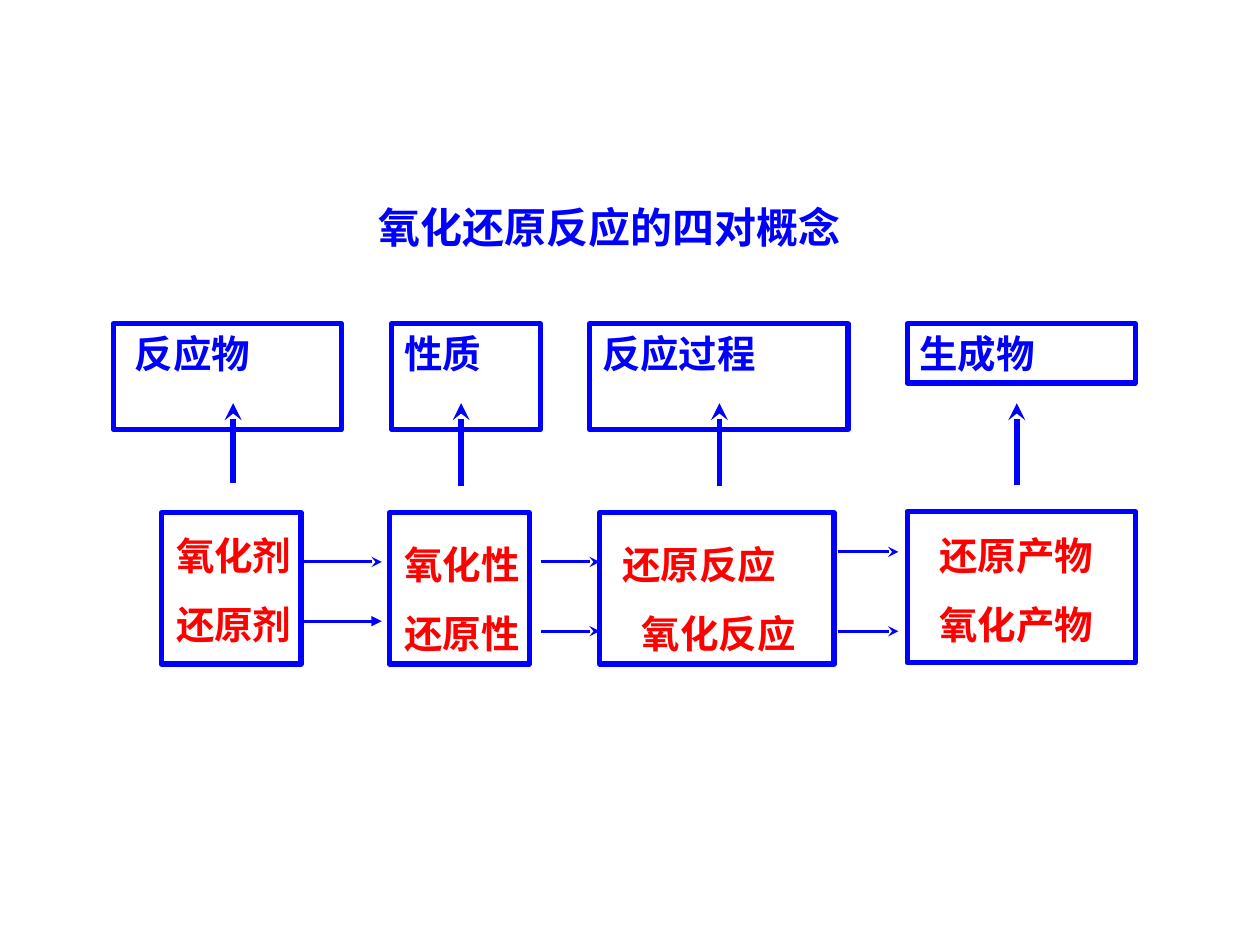
"""Build a slide that links the four concept pairs of redox reactions."""
from dataclasses import dataclass

from lxml import etree
from pptx import Presentation
from pptx import util as u
from pptx.dml.color import RGBColor
from pptx.enum import shapes, text
from pptx.oxml.ns import qn

LEFT, CENTER = text.PP_ALIGN.LEFT, text.PP_ALIGN.CENTER


@dataclass(frozen=True)
class Theme:
    font: str = "Times New Roman"
    blue: RGBColor = RGBColor(0, 0, 255)
    red: RGBColor = RGBColor(255, 0, 0)
    title_size: int = 24
    body_size: int = 22
    border: float = 3
    up_arrow: float = 3.25
    side_arrow: float = 1.75


class SlideBuilder:
    def __init__(self, slide, theme):
        self.slide = slide
        self.theme = theme

    def fill_text(self, shape, lines, size, color, spacing=None, inset=0.1):
        frame = shape.text_frame
        frame.word_wrap = True
        frame.auto_size = text.MSO_AUTO_SIZE.NONE
        frame.vertical_anchor = text.MSO_ANCHOR.TOP
        frame.margin_left = u.Inches(inset)
        for index, (words, alignment) in enumerate(lines):
            paragraph = frame.add_paragraph() if index else frame.paragraphs[0]
            paragraph.text = words
            paragraph.alignment = alignment
            if spacing:
                paragraph.line_spacing = spacing
            font = paragraph.font
            font.name, font.size, font.bold = self.theme.font, u.Pt(size), True
            font.color.rgb = color

    def title(self, words, *bounds):
        shape = self.slide.shapes.add_textbox(*map(u.Inches, bounds))
        self.fill_text(shape, [(words, CENTER)], self.theme.title_size, self.theme.blue)

    def box(self, parent, *bounds):
        shape = parent.add_shape(shapes.MSO_SHAPE.RECTANGLE, *map(u.Inches, bounds))
        shape.shadow.inherit = False
        shape.fill.background()
        shape.line.color.rgb = self.theme.blue
        shape.line.width = u.Pt(self.theme.border)
        return shape

    def heading(self, words, left, width, height, inset):
        shape = self.box(self.slide.shapes, left, 2.57, width, height)
        self.fill_text(shape, [(words, LEFT)], self.theme.body_size, self.theme.blue, inset=inset)

    def pair(self, lines, frame, label):
        group = self.slide.shapes.add_group_shape()
        self.box(group.shapes, *frame, 1.2)
        shape = group.shapes.add_textbox(*map(u.Inches, (*label, 1.2)))
        self.fill_text(shape, lines, self.theme.body_size, self.theme.red, spacing=1.5)

    def arrow(self, start, end, width, head="stealth"):
        connector = self.slide.shapes.add_connector(
            shapes.MSO_CONNECTOR.STRAIGHT, *map(u.Inches, (*start, *end)))
        connector.line.color.rgb = self.theme.blue
        connector.line.width = u.Pt(width)
        properties = connector.element.spPr
        etree.SubElement(properties.find(qn("a:ln")), qn("a:tailEnd"), type=head)
        etree.SubElement(properties, qn("a:effectLst"))


def main():
    presentation = Presentation()
    presentation.slide_width, presentation.slide_height = u.Inches(10), u.Inches(7.5)
    slide = presentation.slides.add_slide(presentation.slide_layouts[6])
    theme = Theme()
    builder = SlideBuilder(slide, theme)

    builder.title("氧化还原反应的四对概念", 1.53, 1.55, 6.62, 0.5)

    headings = [
        ("反应物", 0.9, 1.81, 0.84, 0.17, 1.85, 3.83),
        ("性质", 3.11, 1.18, 0.84, 0.1, 3.66, 3.86),
        ("反应过程", 4.68, 2.05, 0.84, 0.1, 5.71, 3.86),
        ("生成物", 7.2, 1.81, 0.47, 0.1, 8.07, 3.85),
    ]
    for words, left, width, height, inset, arrow_x, arrow_bottom in headings:
        builder.heading(words, left, width, height, inset)
        builder.arrow((arrow_x, arrow_bottom), (arrow_x, 3.2), theme.up_arrow)

    pairs = [
        ([("氧化剂", LEFT), ("还原剂", LEFT)], (1.28, 4.07, 1.11), (1.3, 3.99, 1.34)),
        ([("氧化性还原性", LEFT)], (3.09, 4.07, 1.11), (3.11, 4.06, 1.34)),
        ([("还原反应", LEFT), ("氧化反应", CENTER)], (4.76, 4.07, 1.86), (4.84, 4.06, 1.73)),
        ([("还原产物", CENTER), ("氧化产物", CENTER)], (7.2, 4.06, 1.81), (7.2, 3.99, 1.73)),
    ]
    for lines, frame, label in pairs:
        builder.pair(lines, frame, label)

    links = [
        (2.4, 3.03, 4.46, "stealth"), (2.4, 3.03, 4.93, "triangle"),
        (4.29, 4.76, 4.46, "stealth"), (4.29, 4.76, 5.01, "stealth"),
        (6.65, 7.13, 4.38, "stealth"), (6.65, 7.13, 5.01, "stealth"),
    ]
    for start, end, y, head in links:
        builder.arrow((start, y), (end, y), theme.side_arrow, head)

    presentation.save("out.pptx")


if __name__ == "__main__":
    main()
